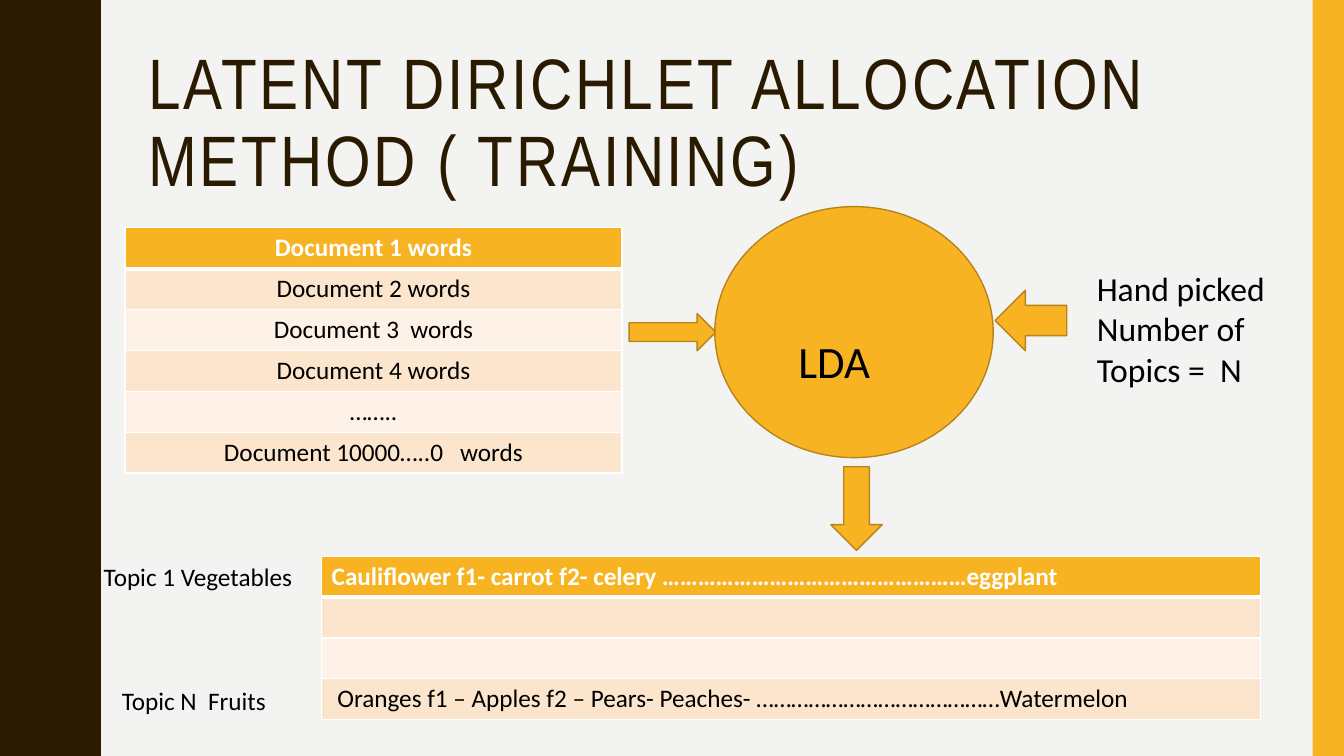
import math

from lxml import etree
from pptx import Presentation
from pptx import util as u
from pptx.dml.color import RGBColor
from pptx.enum import shapes, text
from pptx.oxml.ns import qn

W, H = 13.33, 7.5
DARK, GOLD, EDGE = "2A1A00", "F8B323", "B7841A"
BANDS = ("FCE5CD", "FEF2E8")
BLACK, WHITE, PAPER = "000000", "FFFFFF", "F3F3F2"
BODY, HEAD = "Calibri", "Arial Narrow"
WAVE_PERIOD, WAVE_MID, WAVE_SWING = 1.5, 0.87, 0.1


def rgb(hex_code):
    """Turn a hex string into a colour."""
    return RGBColor.from_string(hex_code)


def box(left, top, width, height):
    """Turn percentages of the slide's size into lengths."""
    return (u.Inches(W * left / 100), u.Inches(H * top / 100),
            u.Inches(W * width / 100), u.Inches(H * height / 100))


def style_text(tf, size, color, font=BODY, bold=False, align=text.PP_ALIGN.LEFT):
    """Format every run of a text frame."""
    for p in tf.paragraphs:
        p.alignment = align
        for r in p.runs:
            r.font.size, r.font.name, r.font.bold = u.Pt(size), font, bold
            r.font.color.rgb = rgb(color)


def paint(sp, fill, line=None):
    """Give a shape a flat fill and an optional thin outline."""
    sp.shadow.inherit = False
    sp.fill.solid()
    sp.fill.fore_color.rgb = rgb(fill)
    if line:
        sp.line.color.rgb = rgb(line)
        sp.line.width = u.Pt(1)
    else:
        sp.line.fill.background()


def add_preset(s, kind, place, line=EDGE):
    """Add a gold preset shape."""
    paint(s.shapes.add_shape(kind, *box(*place)), GOLD, line)


def add_wave(s):
    """Add the dark left band with its wavy right edge."""
    steps = 120
    edge = []
    for i in range(steps + 1):
        y = H * i / steps
        x = WAVE_MID - WAVE_SWING * math.cos(2 * math.pi * y / WAVE_PERIOD)
        edge.append((x, y))
    fb = s.shapes.build_freeform(0, 0, scale=u.Inches(1))
    fb.add_line_segments(edge + [(0, H)], close=True)
    paint(fb.convert_to_shape(), DARK)


def add_title(s, words, place):
    """Place and format the title placeholder."""
    sp = s.shapes.title
    sp.left, sp.top, sp.width, sp.height = box(*place)
    tf = sp.text_frame
    tf.text = words
    tf.word_wrap, tf.auto_size = True, text.MSO_AUTO_SIZE.NONE
    tf.vertical_anchor = text.MSO_ANCHOR.MIDDLE
    style_text(tf, 51, DARK, HEAD)
    p = tf.paragraphs[0]
    p.line_spacing = 0.9
    p.runs[0].font._element.set("spc", "200")


def add_label(s, words, size, place, anchor=text.MSO_ANCHOR.TOP):
    """Add a wrapping text box."""
    tf = s.shapes.add_textbox(*box(*place)).text_frame
    tf.word_wrap, tf.vertical_anchor = True, anchor
    tf.text = words
    style_text(tf, size, BLACK)


def add_borders(cell, bottom, top):
    """Draw white borders round a cell; widths in points."""
    tc_pr = cell._tc.get_or_add_tcPr()
    for side, width in (("L", 1), ("R", 1), ("T", top), ("B", bottom)):
        ln = etree.SubElement(tc_pr, qn("a:ln" + side), w=str(u.Pt(width)))
        fill = etree.SubElement(ln, qn("a:solidFill"))
        etree.SubElement(fill, qn("a:srgbClr"), val=WHITE)


def add_list_table(s, rows, place, align):
    """Add a one-column table with a gold header and banded rows."""
    left, top, width, height = box(*place)
    tbl = s.shapes.add_table(len(rows), 1, left, top, width, height).table
    for i, words in enumerate(rows):
        tbl.rows[i].height = height // len(rows)
        cell = tbl.cell(i, 0)
        add_borders(cell, 3 if i == 0 else 1, 3 if i == 1 else 1)
        cell.fill.solid()
        cell.fill.fore_color.rgb = rgb(BANDS[(i - 1) % 2] if i else GOLD)
        if words:
            cell.text_frame.text = words
            style_text(cell.text_frame, 18, BLACK if i else WHITE,
                       bold=i == 0, align=align)


def main():
    """Build the slide and save it."""
    prs = Presentation()
    prs.slide_width, prs.slide_height = u.Inches(W), u.Inches(H)
    s = prs.slides.add_slide(prs.slide_layouts[5])
    s.background.fill.solid()
    s.background.fill.fore_color.rgb = rgb(PAPER)
    kind = shapes.MSO_SHAPE

    add_wave(s)
    add_preset(s, kind.RECTANGLE, (97.67, 0, 2.33, 100), line=None)
    add_title(s, "LATENT DIRICHLET ALLOCATION METHOD ( TRAINING)",
              (10.28, 5.6, 82, 21.73))

    add_preset(s, kind.RIGHT_ARROW, (46.81, 41.47, 6.45, 4.93))
    add_preset(s, kind.LEFT_ARROW, (74.04, 38.4, 5.33, 8))
    documents = ["Document 1 words", "Document 2 words", "Document 3  words",
                 "Document 4 words", "……..", "Document 10000…..0   words"]
    add_list_table(s, documents, (9.3, 30.13, 36.98, 32.4),
                   text.PP_ALIGN.CENTER)
    add_preset(s, kind.OVAL, (53.19, 27.33, 20.71, 33.2))
    add_label(s, "LDA", 32, (58.66, 36.13, 10.65, 15.73),
              text.MSO_ANCHOR.BOTTOM)

    topics = ["Cauliflower f1- carrot f2- celery " + "…" * 17 + "eggplant",
              "", "",
              " Oranges f1 – Apples f2 – Pears- Peaches- " + "…" * 14
              + "Watermelon"]
    add_list_table(s, topics, (23.93, 73.6, 69.84, 21.6), text.PP_ALIGN.LEFT)
    add_label(s, "Hand picked Number of Topics =  N", 24,
              (80.87, 34.8, 15.68, 17.47))
    add_label(s, "Topic 1 Vegetables", 18, (6.98, 73.6, 16.2, 5.33))
    add_label(s, "Topic N  Fruits", 18, (8.33, 90, 14.18, 5.33))
    add_preset(s, kind.DOWN_ARROW, (61.82, 61.73, 3.83, 11.07))

    prs.save("out.pptx")


main()
